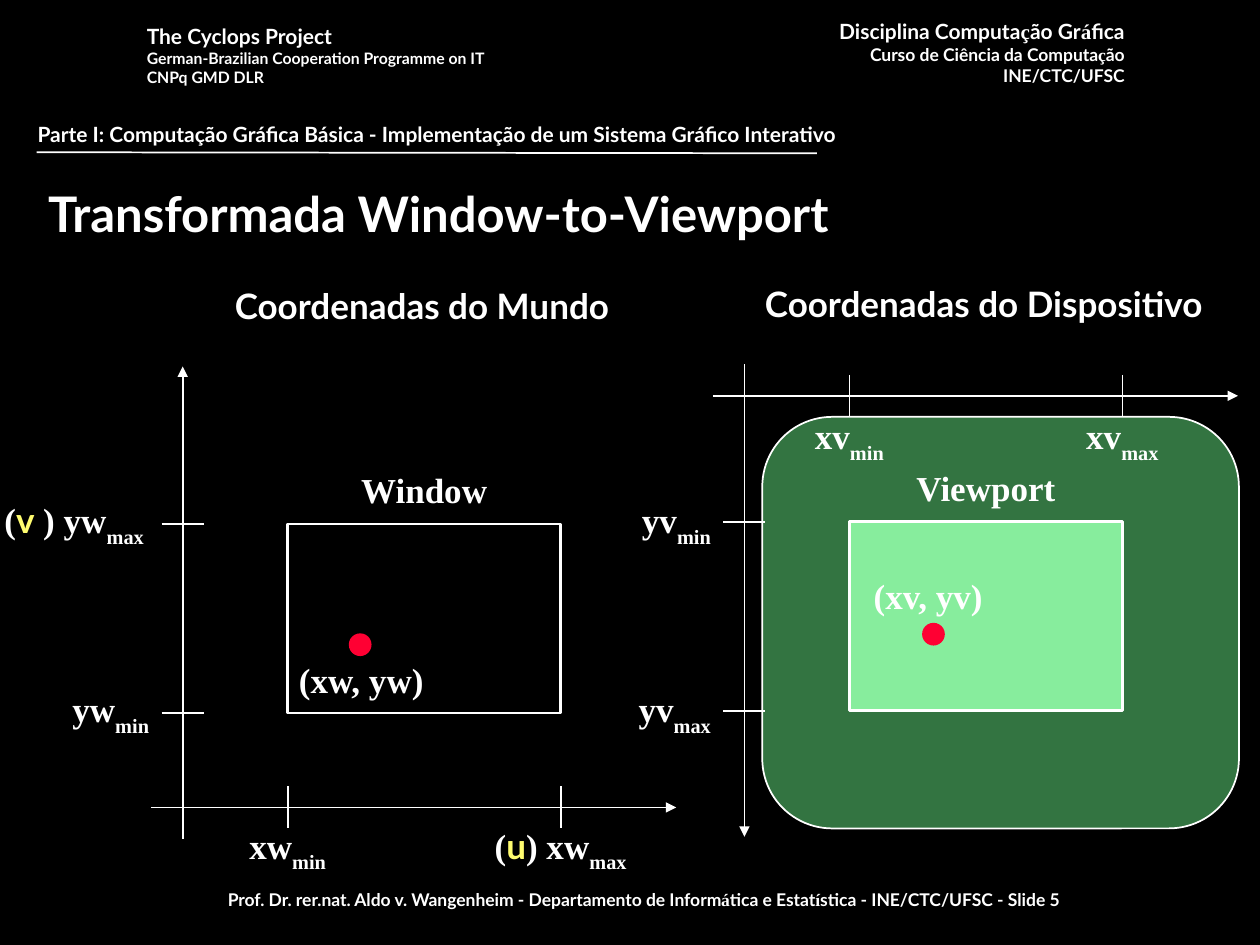
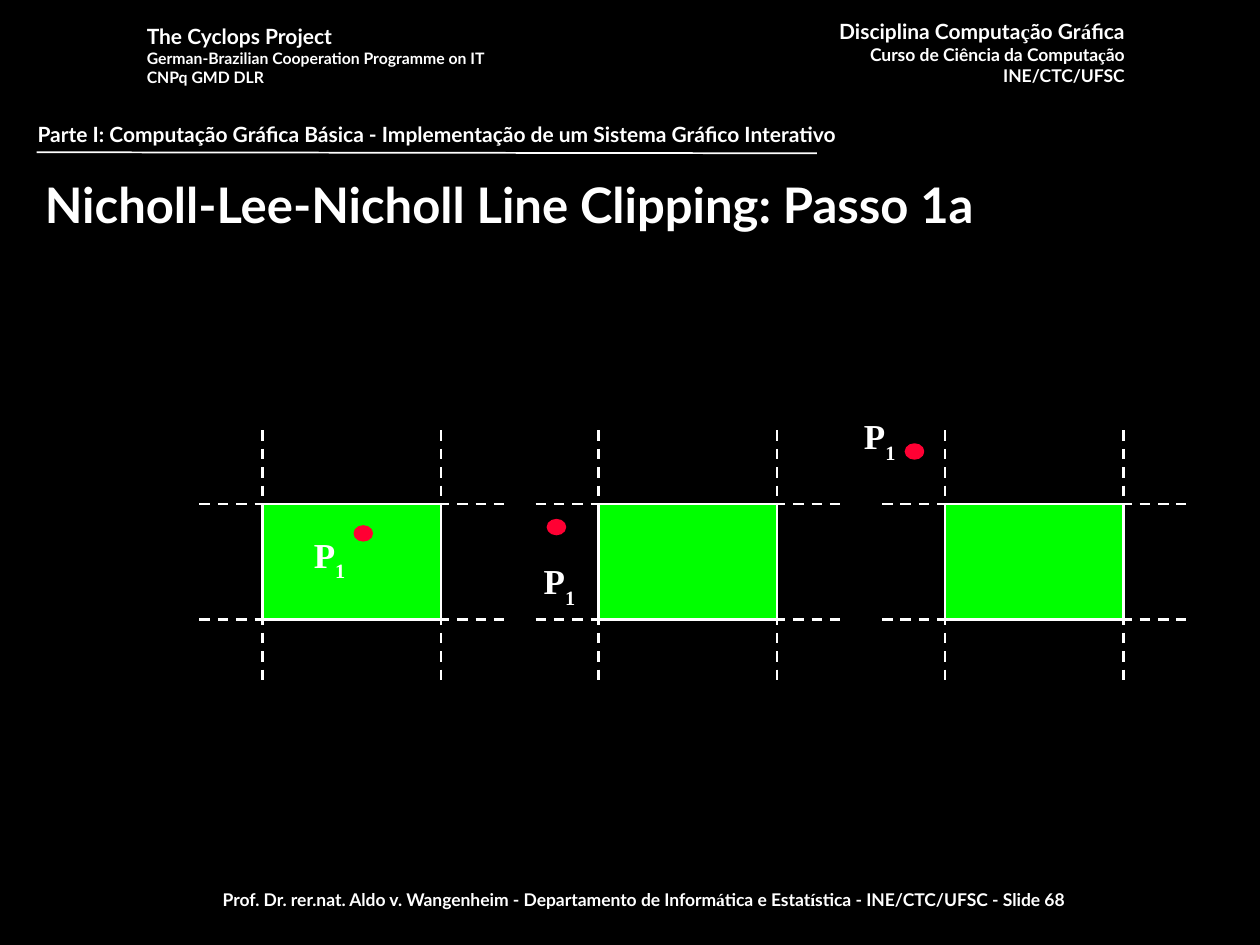
from dataclasses import dataclass

from lxml import etree
from pptx import Presentation
from pptx.dml.color import RGBColor
from pptx.enum.dml import MSO_LINE
from pptx.enum.shapes import MSO_CONNECTOR, MSO_SHAPE
from pptx.enum.text import MSO_ANCHOR, PP_ALIGN
from pptx.oxml.ns import qn
from pptx.util import Inches, Pt

LEFT, CENTER, RIGHT = PP_ALIGN.LEFT, PP_ALIGN.CENTER, PP_ALIGN.RIGHT
TOP, MIDDLE = MSO_ANCHOR.TOP, MSO_ANCHOR.MIDDLE
STRAIGHT, DASH = MSO_CONNECTOR.STRAIGHT, MSO_LINE.DASH
RECT, OVAL, ROUNDED = MSO_SHAPE.RECTANGLE, MSO_SHAPE.OVAL, MSO_SHAPE.ROUNDED_RECTANGLE

SLIDE_W, SLIDE_H = Inches(10), Inches(7.5)
CELL = SLIDE_W / 120  # the slide is a grid of 120 columns and 90 rows
SANS, SERIF = "Lato", "Times New Roman"
BLACK, WHITE, RED, YELLOW = "000000", "FFFFFF", "FF0033", "FFFC6F"
SCREEN_GREEN, VIEWPORT_GREEN, CLIP_GREEN = "66E882", "87ED9D", "00FF00"
HEADING_ROW = -5.8
LABEL_H = 6


@dataclass
class Grid:
    """A region of a slide, addressed in cells from its own corner."""
    s: object
    col: float = 0
    row: float = 0

    def at(self, col, row):
        return round((self.col + col) * CELL), round((self.row + row) * CELL)


def rgb(color):
    return RGBColor.from_string(color)


def size(cells):
    return round(cells * CELL)


def mixed(marked):
    """Split at bars; every second piece is set in the serif font."""
    return [(piece, {"font": SERIF} if i % 2 else {})
            for i, piece in enumerate(marked.split("|"))]


def sub(base, low):
    return [(base, {}), (low, {"low": True})]


def text(grid, box, paragraphs, font=SANS, pt=12, color=WHITE, align=LEFT,
         anchor=TOP, wrap=False):
    """Each paragraph is a list of (piece, format changes) runs."""
    col, row, w, h = box
    tf = grid.s.shapes.add_textbox(*grid.at(col, row), size(w), size(h)).text_frame
    tf.word_wrap = wrap
    tf.vertical_anchor = anchor
    for i, runs in enumerate(paragraphs):
        p = tf.paragraphs[0] if i == 0 else tf.add_paragraph()
        p.alignment = align
        for piece, changes in runs:
            r = p.add_run()
            r.text = piece
            r.font.name = changes.get("font", font)
            r.font.size = Pt(changes.get("pt", pt))
            r.font.bold = True
            r.font.color.rgb = rgb(changes.get("color", color))
            if changes.get("low"):
                r.font._element.set("baseline", "-30000")


def label(grid, col, row, runs, w=10, align=CENTER, font=SERIF):
    """Place text centred on a point, or ending at it when right-aligned."""
    left = col - w if align == RIGHT else col - w / 2
    h = LABEL_H if any(changes.get("low") for _, changes in runs) else 5.2
    text(grid, (left, row - h / 2, w, h), [runs], font=font, pt=20, align=align)


def shape(grid, kind, box, fill=None, line=WHITE, width=1.5, alpha=None):
    col, row, w, h = box
    sp = grid.s.shapes.add_shape(kind, *grid.at(col, row), size(w), size(h))
    sp.shadow.inherit = False
    sp.line.color.rgb = rgb(line)
    sp.line.width = Pt(width)
    if fill is None:
        sp.fill.background()
    else:
        sp.fill.solid()
        sp.fill.fore_color.rgb = rgb(fill)
    if alpha is not None:
        clr = sp._element.spPr.find(qn("a:solidFill"))[0]
        etree.SubElement(clr, qn("a:alpha")).set("val", str(alpha * 1000))
    return sp


def dot(grid, col, row, w=2, h=2):
    shape(grid, OVAL, (col - w / 2, row - h / 2, w, h), RED, RED, 1)


def line(grid, start, end, width=1, dash=None, arrow=False):
    cxn = grid.s.shapes.add_connector(STRAIGHT, *grid.at(*start), *grid.at(*end))
    cxn.line.color.rgb = rgb(WHITE)
    cxn.line.width = Pt(width)
    if dash:
        cxn.line.dash_style = dash
    if arrow:
        etree.SubElement(cxn.line._get_or_add_ln(), qn("a:tailEnd")).set("type", "triangle")
    etree.SubElement(cxn._element.spPr, qn("a:effectLst"))


def add_slide(prs, number, title, title_box):
    """Start a slide with the course header, footer and title."""
    s = prs.slides.add_slide(prs.slide_layouts[6])
    s.background.fill.solid()
    s.background.fill.fore_color.rgb = rgb(BLACK)
    grid = Grid(s)
    text(grid, (75.7, 1.2, 32.6, 7.7), [
        mixed("Disciplina Computa|ç|ão Gr|á|fica"),
        [(t, {**f, "pt": 10}) for t, f in mixed("Curso de Ciência da Computa|ç|ão")],
        [("INE/CTC/UFSC", {"pt": 10})]], align=RIGHT)
    text(grid, (12.8, 1.7, 38.5, 7.2), [
        [("The Cyclops Project", {})],
        [("German-Brazilian Cooperation Programme on IT", {"pt": 9})],
        [("CNPq GMD DLR", {"pt": 9})]])
    text(grid, (8.3, 84.1, 106, 3.5), [mixed(
        "Prof. Dr. rer.nat. Aldo v. Wangenheim - Departamento de Inform|á|tica e Estat|í|stica"
        f" - INE/CTC/UFSC - Slide {number}")], pt=10, align=CENTER, wrap=True)
    line(grid, (3.5, 14.5), (77.8, 14.6))
    text(grid, (2.4, 11, 114, 3.6), [[(
        "Parte I: Computação Gráfica Básica - Implementação de um Sistema Gráfico Interativo",
        {})]], wrap=True)
    text(grid, title_box, [[(title, {})]], pt=28, anchor=MIDDLE, wrap=True)
    return s


def coordinate_system(grid, heading, heading_w, name, axis_row, y_axis, fill=None):
    """Axes, ticks and framed area on 50 columns by 45 rows."""
    label(grid, 25.8, HEADING_ROW, [(heading, {})], heading_w, font=SANS)
    line(grid, *y_axis, arrow=True)
    line(grid, (0, axis_row), (50, axis_row), arrow=True)
    for col in (13, 39):
        line(grid, (col, axis_row - 2), (col, axis_row + 2))
    for row in (15, 33):
        line(grid, (1, row), (5, row))
    shape(grid, RECT, (13, 15, 26, 18), fill)
    label(grid, 26, 11.7, [(name, {})], 18)


def world(grid):
    coordinate_system(grid, "Coordenadas do Mundo", 43, "Window", 42, ((3, 45), (3, 0)))
    label(grid, 13, 46, sub("xw", "min"), 11)
    label(grid, 39, 46, [("(", {}), ("u", {"font": SANS, "color": YELLOW}),
                         *sub(") xw", "max")], 17)
    label(grid, 0.5, 15, [("(", {}), ("v", {"font": SANS, "color": YELLOW}),
                          *sub(" ) yw", "max")], 17, RIGHT)
    label(grid, 1, 33, sub("yw", "min"), 11, RIGHT)
    dot(grid, 19.9, 26.5)
    label(grid, 20, 29.8, [("(xw, yw)", {})], 16)


def device(grid):
    screen = shape(grid, ROUNDED, (4.7, 5, 45.4, 39.2), SCREEN_GREEN, width=1, alpha=50)
    screen.adjustments[0] = 0.17
    coordinate_system(grid, "Coordenadas do Dispositivo", 50, "Viewport", 3,
                      ((3, 0), (3, 45)), VIEWPORT_GREEN)
    for low, col, row in (("min", 13, 15), ("max", 39, 33)):
        label(grid, col, 7.2, sub("xv", low), 11)
        label(grid, 1, row + 0.2, sub("yv", low), 11, RIGHT)
    dot(grid, 21, 25.7)
    label(grid, 20.5, 22, [("(xv, yv)", {})], 15)


def clip_region(grid, point, point_label):
    """Clip rectangle with its extended edges on 29 columns by 24 rows."""
    for col in (6, 23):
        line(grid, (col, 0), (col, 24), 1.5, DASH)
    for row in (7, 18):
        line(grid, (0, row), (29, row), 1.5, DASH)
    shape(grid, RECT, (6, 7, 17, 11), CLIP_GREEN)
    dot(grid, *point, 1.7, 1.4)
    label(grid, *point_label, sub("P", "1"), 5.4, LEFT)


def main():
    prs = Presentation()
    prs.slide_width, prs.slide_height = SLIDE_W, SLIDE_H

    s = add_slide(prs, 5, "Transformada Window-to-Viewport", (3.4, 16.9, 102, 6.8))
    world(Grid(s, 14.4, 34.9))
    device(Grid(s, 67.9, 34.7))

    s = add_slide(prs, 68, "Nicholl-Lee-Nicholl Line Clipping: Passo 1a",
                  (3.1, 15.5, 112.8, 7.8))
    for col, point, point_label in ((19, (15.6, 9.8), (12.4, 12.2)),
                                    (51, (2, 9.2), (2.3, 14.7)),
                                    (84, (3.1, 2), (-0.2, 0.9))):
        clip_region(Grid(s, col, 41), point, point_label)

    prs.save("out.pptx")


if __name__ == "__main__":
    main()
